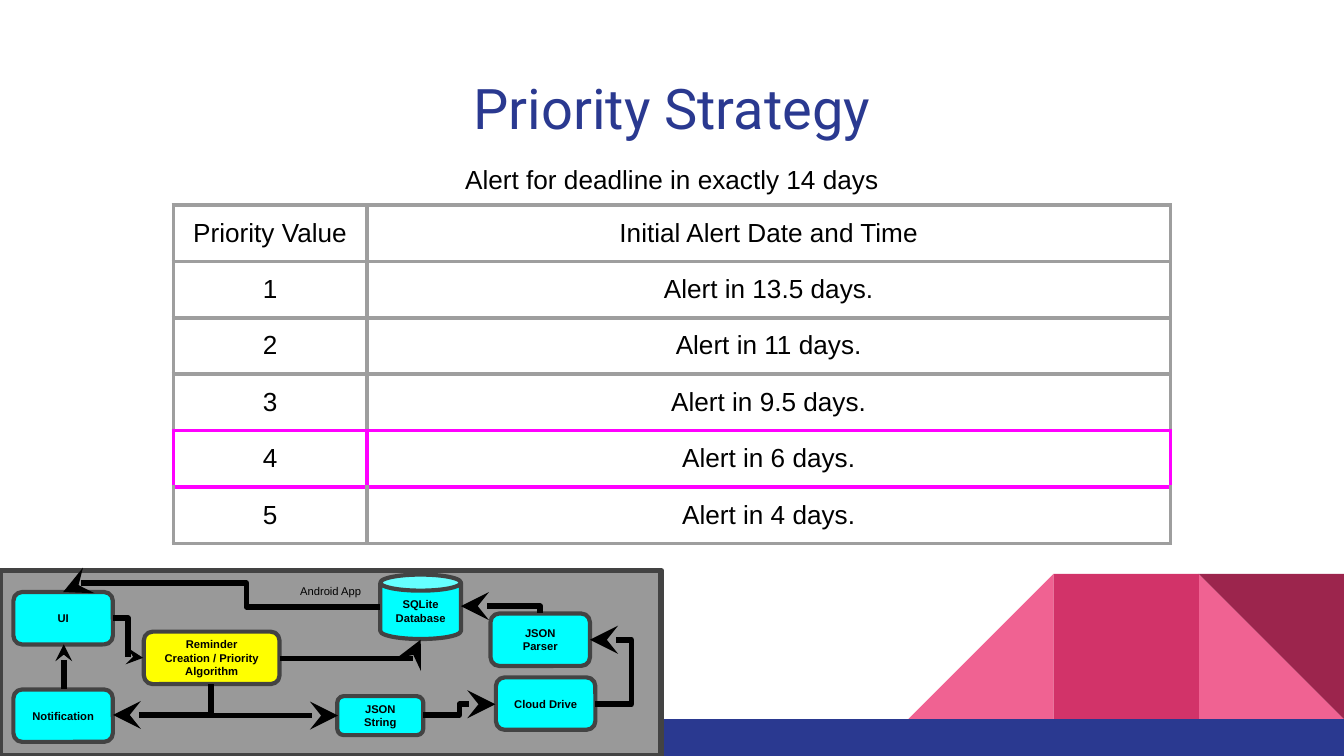
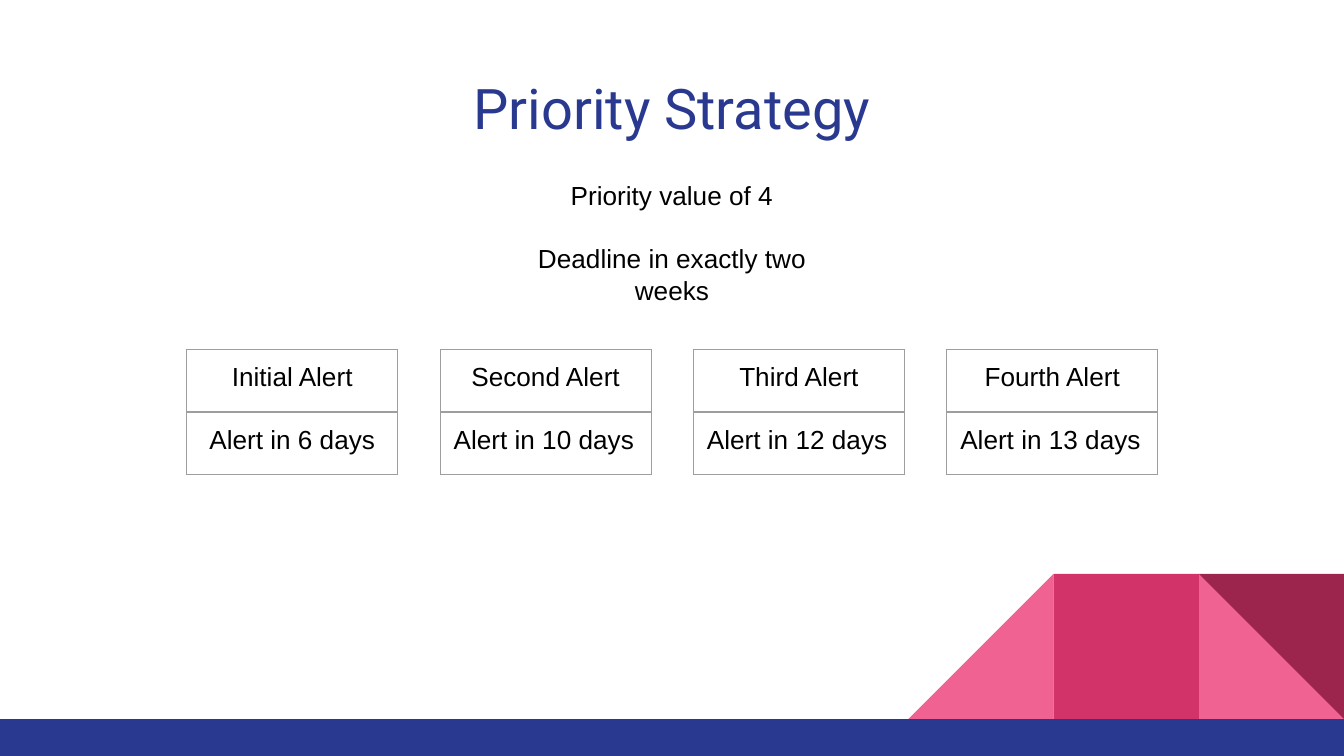
from pptx import Presentation
from pptx.dml.color import RGBColor
from pptx.enum.shapes import MSO_CONNECTOR, MSO_SHAPE
from pptx.enum.text import MSO_ANCHOR, MSO_AUTO_SIZE, PP_ALIGN
from pptx.oxml import parse_xml
from pptx.oxml.ns import nsdecls, qn
from pptx.util import Pt

PX = 4572
MARGIN = 20 * PX
RECT, ROUND, CAN = MSO_SHAPE.RECTANGLE, MSO_SHAPE.ROUNDED_RECTANGLE, MSO_SHAPE.CAN
TRIANGLE = MSO_SHAPE.RIGHT_TRIANGLE
ELBOW = MSO_CONNECTOR.ELBOW
LEFT, CENTER = PP_ALIGN.LEFT, PP_ALIGN.CENTER
TOP, MIDDLE = MSO_ANCHOR.TOP, MSO_ANCHOR.MIDDLE
NO_FIT = MSO_AUTO_SIZE.NONE

NAVY, BLACK, GREY, DARK = "2A3990", "000000", "9E9E9E", "434343"
PINK, ROSE, WINE = "F06292", "D23369", "9C254D"
PANEL, CYAN, YELLOW, MAGENTA = "999999", "00FFFF", "FFFF00", "FF00FF"


def write(frame, lines, size, font="Arial", color=BLACK, bold=False, align=CENTER, gap=0):
    for index, line in enumerate(lines):
        paragraph = frame.add_paragraph() if index else frame.paragraphs[0]
        paragraph.alignment = align
        if index:
            paragraph.space_before = Pt(gap)
        run = paragraph.add_run()
        run.text = line
        run.font.size = Pt(size)
        run.font.name = font
        run.font.bold = bold
        run.font.color.rgb = RGBColor.from_string(color)


def add_grid(slide, left, top, widths, row_height, rows, weight, highlight=None, aligns=None):
    grid = slide.shapes.add_table(
        len(rows), len(widths), left * PX, top * PX, sum(widths) * PX, len(rows) * row_height * PX
    ).table
    grid.first_row = grid.horz_banding = False
    for column, width in zip(grid.columns, widths):
        column.width = width * PX
    for r, values in enumerate(rows):
        grid.rows[r].height = row_height * PX
        for c, value in enumerate(values):
            cell = grid.cell(r, c)
            cell.margin_left = cell.margin_right = cell.margin_top = cell.margin_bottom = MARGIN
            write(cell.text_frame, [value], 14, align=aligns[r] if aligns else CENTER)
            properties = cell._tc.get_or_add_tcPr()
            marked = {"L": [r], "R": [r], "T": [r, r - 1], "B": [r, r + 1]}
            for side, owners in marked.items():
                color = MAGENTA if highlight in owners else GREY
                properties.append(parse_xml(
                    f'<a:ln{side} {nsdecls("a")} w="{Pt(weight)}"><a:solidFill>'
                    f'<a:srgbClr val="{color}"/></a:solidFill></a:ln{side}>'
                ))
            cell.fill.background()


prs = Presentation()
prs.slide_width, prs.slide_height = 2000 * PX, 1125 * PX
layout = prs.slide_layouts[5]
strategy = prs.slides.add_slide(layout)
example = prs.slides.add_slide(layout)

for slide in (strategy, example):
    title = slide.shapes.title
    title.left, title.top, title.width, title.height = 68 * PX, 90 * PX, 1864 * PX, 132 * PX
    frame = title.text_frame
    frame.margin_left = frame.margin_right = frame.margin_top = frame.margin_bottom = MARGIN
    frame.vertical_anchor = TOP
    frame.auto_size = NO_FIT
    write(frame, ["Priority Strategy"], 30, "Roboto", NAVY)

priorities = [("Priority Value", "Initial Alert Date and Time")]
for value, days in enumerate(("13.5", "11", "9.5", "6", "4"), 1):
    priorities.append((str(value), f"Alert in {days} days."))
add_grid(strategy, 258, 305, (288, 1196), 84, priorities, 2.25, highlight=4)

captions = [
    (strategy, 258, 223, 1484, 136, ["Alert for deadline in exactly 14 days"]),
    (example, 730, 247, 540, 200, ["Priority value of 4", "Deadline in exactly two weeks"]),
]
for slide, left, top, width, height, lines in captions:
    frame = slide.shapes.add_textbox(left * PX, top * PX, width * PX, height * PX).text_frame
    frame.word_wrap = True
    frame.margin_left = frame.margin_right = frame.margin_top = frame.margin_bottom = MARGIN
    write(frame, lines, 14, gap=17)

band = [
    (TRIANGLE, 1784, 854, 216, 216, PINK, 0, ""),
    (TRIANGLE, 1352, 854, 216, 216, PINK, 0, ""),
    (RECT, 1568, 854, 216, 216, ROSE, 0, ""),
    (TRIANGLE, 1784, 854, 216, 216, WINE, 0, ""),
    (RECT, 0, 1070, 2000, 55, NAVY, 0, ""),
]
components = [
    (RECT, 0, 849, 984, 276, PANEL, 3, "Android App"),
    (ROUND, 20, 1026, 148, 78, CYAN, 2.25, "Notification"),
    (ROUND, 502, 1036, 128, 58, CYAN, 2.25, "JSON String"),
    (ROUND, 20, 881, 148, 78, CYAN, 2.25, "UI"),
    (ROUND, 214, 940, 202, 78, YELLOW, 2.25, "Reminder Creation / Priority Algorithm"),
    (CAN, 566, 855, 120, 96, CYAN, 2.25, "SQLite Database"),
    (ROUND, 738, 1008, 148, 78, CYAN, 2.25, "Cloud Drive"),
    (ROUND, 730, 913, 148, 78, CYAN, 2.25, "JSON Parser"),
]
drawn = []
for preset, left, top, width, height, fill, weight, label in band + components:
    part = strategy.shapes.add_shape(preset, left * PX, top * PX, width * PX, height * PX)
    part.shadow.inherit = False
    part.fill.solid()
    part.fill.fore_color.rgb = RGBColor.from_string(fill)
    if weight:
        part.line.color.rgb = RGBColor.from_string(DARK)
        part.line.width = Pt(weight)
    else:
        part.line.fill.background()
    if label:
        frame = part.text_frame
        frame.word_wrap = True
        frame.margin_left = frame.margin_right = frame.margin_top = frame.margin_bottom = MARGIN
        frame.vertical_anchor = TOP if preset == RECT else MIDDLE
        write(frame, [label], 6, bold=preset != RECT)
    drawn.append(part)

drawn[1].element.spPr.find(qn("a:xfrm")).set("flipH", "1")
drawn[3].rotation = 180
for part in drawn[:len(band)]:
    layout.shapes.element.append(part.element)

flows = [
    (62, 992, 66, 0, 270, False, 3, [50000], "med"),
    (168, 920, 45, 59, 0, False, 3, [50000], "med"),
    (416, 952, 210, 28, 180, True, 2, [], "lg"),
    (386, 948, 46, 188, 270, True, 2, [], "lg"),
    (630, 1048, 107, 16, 180, True, 3, [50000], "lg"),
    (878, 952, 8, 96, 180, False, 3, [-666100], "lg"),
    (740, 848, 10, 118, 90, True, 2, [], "lg"),
    (94, 881, 471, 22, 180, False, 4, [42100, 159300], "lg"),
    (218, 968, 46, 146, 90, False, 2, [], "lg"),
]
for left, top, width, height, turn, mirrored, bends, adjustments, head in flows:
    flow = strategy.shapes.add_connector(
        ELBOW, left * PX, top * PX, (left + width) * PX, (top + height) * PX
    )
    flow.line.color.rgb = RGBColor.from_string(BLACK)
    flow.line.width = Pt(3)
    properties = flow.element.spPr
    transform = properties.find(qn("a:xfrm"))
    transform.set("rot", str(turn * 60000))
    if mirrored:
        transform.set("flipH", "1")
    guides = "".join(
        f'<a:gd name="adj{n}" fmla="val {amount}"/>' for n, amount in enumerate(adjustments, 1)
    )
    properties.replace(properties.find(qn("a:prstGeom")), parse_xml(
        f'<a:prstGeom {nsdecls("a")} prst="bentConnector{bends}"><a:avLst>{guides}</a:avLst></a:prstGeom>'
    ))
    properties.find(qn("a:ln")).append(parse_xml(
        f'<a:tailEnd {nsdecls("a")} type="stealth" w="{head}" len="{head}"/>'
    ))
    properties.append(parse_xml(f'<a:effectLst {nsdecls("a")}/>'))

alerts = [("Initial", 6), ("Second", 10), ("Third", 12), ("Fourth", 13)]
for index, (order, days) in enumerate(alerts):
    add_grid(
        example, 278 + 377 * index, 520, (314,), 93,
        [(f"{order} Alert",), (f"Alert in {days} days",)], 0.75,
        aligns=(CENTER, LEFT if index else CENTER),
    )

prs.save("out.pptx")
